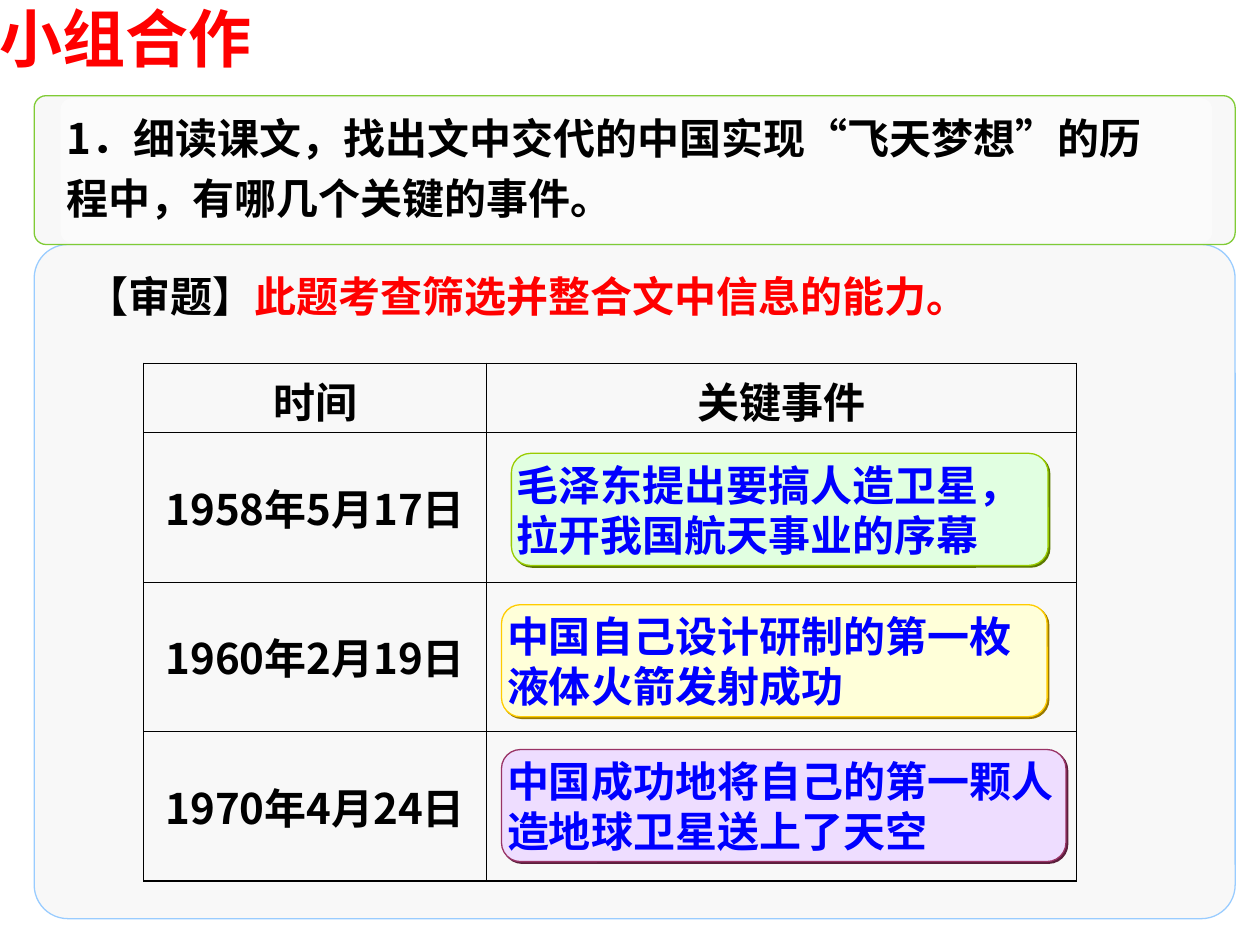
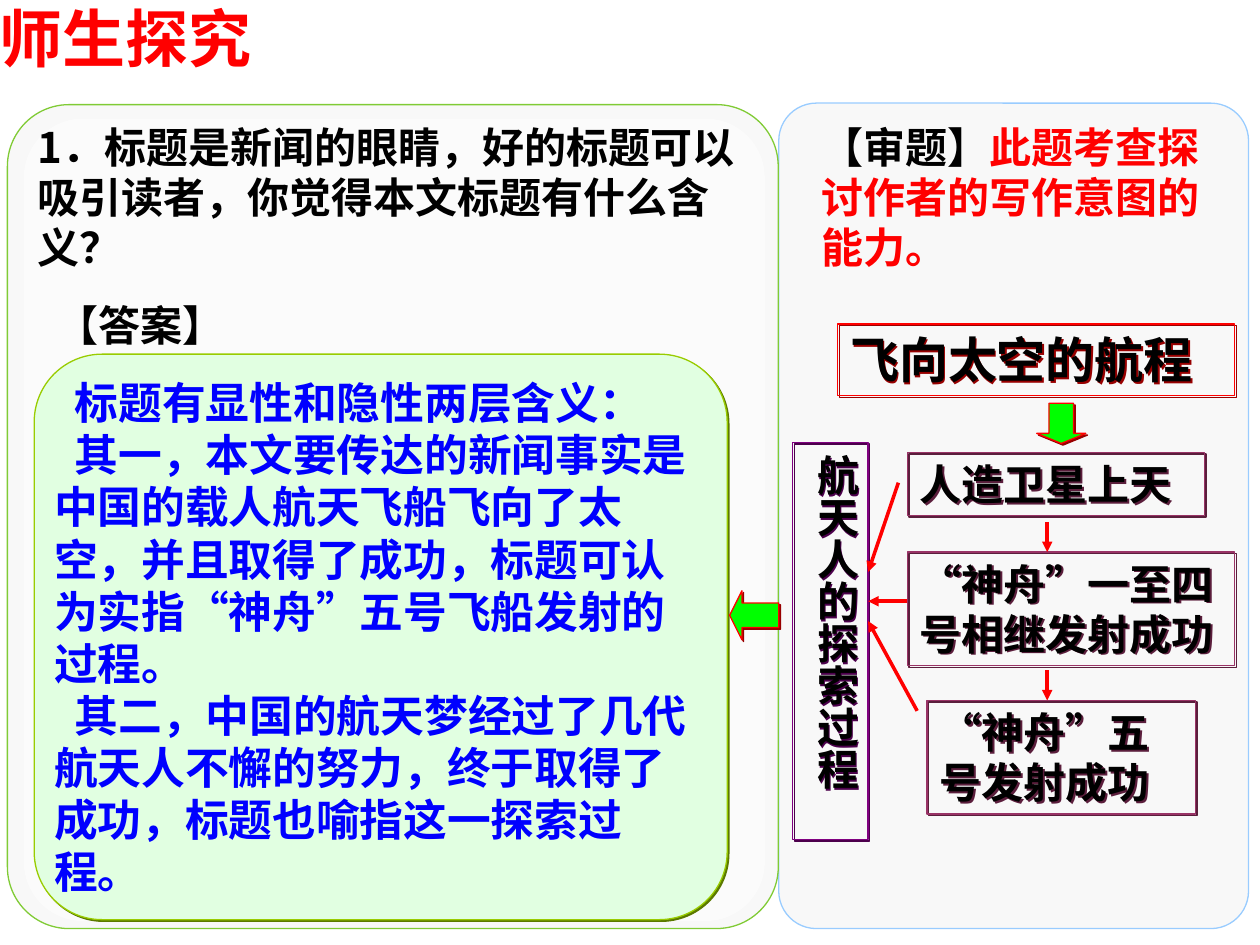
from dataclasses import dataclass
from typing import NamedTuple, Optional

import pptx
import pptx.dml.color
import pptx.enum.lang
import pptx.enum.shapes
import pptx.enum.text
import pptx.oxml
import pptx.oxml.ns
import pptx.util
from lxml import etree
from pptx.util import Cm, Pt

SHAPE = pptx.enum.shapes.MSO_SHAPE
ANCHOR = pptx.enum.text.MSO_ANCHOR
ALIGN = pptx.enum.text.PP_ALIGN
qn = pptx.oxml.ns.qn


@dataclass(frozen=True)
class Theme:
    latin: str = "Arial"
    cjk: str = "Noto Sans CJK SC"
    title: int = 36
    headline: int = 28
    answer: int = 25
    body: int = 24
    leading: float = 1.19
    hairline: float = 0.75
    arrow: float = 2
    black: str = "000000"
    red: str = "FF0000"
    dark_red: str = "980000"
    blue: str = "0000FF"
    green: str = "00FF00"
    white: str = "FFFFFF"
    grey: str = "808080"
    panel: str = "F8F8F8"
    panel_green: str = "80CB35"
    panel_blue: str = "99CCFF"


THEME = Theme()


class Box(NamedTuple):
    """Left, top, width and height in centimetres."""
    left: float
    top: float
    width: float
    height: float

    def lengths(self) -> list:
        return [Cm(value) for value in self]


class Look(NamedTuple):
    fill: Optional[str]
    line: Optional[str]
    shadow: Optional[str] = None


class Run(NamedTuple):
    text: str
    color: str = THEME.black


class Step(NamedTuple):
    box: Box
    text: str
    look: Look
    size: int = THEME.body


class Card(NamedTuple):
    box: Box
    text: str
    look: Look


class Arrow(NamedTuple):
    x1: float
    y1: float
    x2: float
    y2: float


GREEN_CARD = Look("E1FFE1", "99CC00", "5B7900")
YELLOW_CARD = Look("FFFFD9", "FFCC00", "987900")
PURPLE_CARD = Look("EEDDFF", "993366", "5B1E3C")
STEP_LOOK = Look(None, "993366", "5B1E3C")
PROCESS_LOOK = Look(None, "800080", "4C004C")
HEADLINE_LOOK = Look(None, THEME.red, THEME.dark_red)
ARROW_LOOK = Look(THEME.green, THEME.red, THEME.dark_red)
QUESTION_PANEL = Look(THEME.panel, THEME.panel_green)
REVIEW_PANEL = Look(THEME.panel, THEME.panel_blue)


def rgb(color: str) -> pptx.dml.color.RGBColor:
    return pptx.dml.color.RGBColor.from_string(color)


def shadow_effect(color: str):
    """A hard shadow, 1.4 pt down and to the right."""
    effects = etree.Element(qn("a:effectLst"))
    outer = etree.SubElement(effects, qn("a:outerShdw"), blurRad="0",
                             dist=str(Pt(1.4)), dir="2700000", algn="ctr", rotWithShape="0")
    etree.SubElement(outer, qn("a:srgbClr"), val=color)
    return effects


# ---- Text ----
def add_run(paragraph, run: Run, size: int, latin: str, shadow: bool = False) -> None:
    piece = paragraph.add_run()
    piece.text = run.text
    font = piece.font
    font.size, font.bold, font.name = Pt(size), True, latin
    font.language_id = pptx.enum.lang.MSO_LANGUAGE_ID.SIMPLIFIED_CHINESE
    font.color.rgb = rgb(run.color)
    latin_font = piece._r.rPr.find(qn("a:latin"))
    if shadow:
        latin_font.addprevious(shadow_effect(THEME.grey))
    east_asian = etree.Element(qn("a:ea"), typeface=THEME.cjk)
    latin_font.addnext(east_asian)


def write(shape, paragraphs: list[list[Run]], size: int = THEME.body, latin: str = THEME.latin,
          anchor=ANCHOR.TOP, margins: tuple = (0.25, 0.13), shadow: bool = False,
          spacing: float = 1, indent: float = 0, align=ALIGN.LEFT) -> None:
    frame = shape.text_frame
    frame.word_wrap = True
    frame.vertical_anchor = anchor
    frame.margin_left = frame.margin_right = Cm(margins[0])
    frame.margin_top = frame.margin_bottom = Cm(margins[1])
    for index, runs in enumerate(paragraphs):
        paragraph = frame.add_paragraph() if index else frame.paragraphs[0]
        paragraph.alignment = align
        paragraph.line_spacing = Pt(round(size * THEME.leading * spacing, 1))
        properties = paragraph._p.get_or_add_pPr()
        properties.set("hangingPunct", "0")
        if indent:
            properties.set("indent", str(Cm(indent)))
        for run in runs:
            add_run(paragraph, run, size, latin, shadow)


def add_text(slide, box: Box, runs: list[Run], **style) -> None:
    write(slide.shapes.add_textbox(*box.lengths()), [runs], shadow=True, **style)


def add_title(slide, text: str) -> None:
    add_text(slide, Box(0, 0, 8.51, 1.52), [Run(text, THEME.red)],
             size=THEME.title, margins=(0, 0))


# ---- Shapes ----
def add_figure(slide, kind, box: Box, look: Look, *adjustments: float):
    shape = slide.shapes.add_shape(kind, *box.lengths())
    for index, value in enumerate(adjustments):
        shape.adjustments[index] = value
    if look.fill:
        shape.fill.solid()
        shape.fill.fore_color.rgb = rgb(look.fill)
    else:
        shape.fill.background()
    if look.line:
        shape.line.color.rgb = rgb(look.line)
        shape.line.width = Pt(THEME.hairline)
    else:
        shape.line.fill.background()
    shape.shadow.inherit = False
    if look.shadow:
        plain = shape._element.spPr.find(qn("a:effectLst"))
        plain.getparent().replace(plain, shadow_effect(look.shadow))
    return shape


def add_question_panel(slide, outer: Box, sheen: Box) -> None:
    add_figure(slide, SHAPE.ROUNDED_RECTANGLE, outer, QUESTION_PANEL, 0.08)
    veil = add_figure(slide, SHAPE.ROUNDED_RECTANGLE, sheen, Look(THEME.white, None), 0.08)
    color = veil._element.spPr.find(qn("a:solidFill"))[0]
    etree.SubElement(color, qn("a:alpha"), val="50000")


def add_card(slide, card: Card) -> None:
    shape = add_figure(slide, SHAPE.ROUNDED_RECTANGLE, card.box, card.look, 0.17)
    write(shape, [[Run(card.text, THEME.blue)]], anchor=ANCHOR.MIDDLE, margins=(0, 0))


def add_step(slide, step: Step) -> None:
    shape = add_figure(slide, SHAPE.RECTANGLE, step.box, step.look)
    write(shape, [[Run(step.text)]], size=step.size)


def add_arrow(slide, arrow: Arrow) -> None:
    line = slide.shapes.add_connector(pptx.enum.shapes.MSO_CONNECTOR.STRAIGHT,
                                      *[Cm(value) for value in arrow])
    line.line.color.rgb = rgb(THEME.red)
    line.line.width = Pt(THEME.arrow)
    properties = line._element.spPr
    etree.SubElement(properties.find(qn("a:ln")), qn("a:tailEnd"), type="triangle")
    etree.SubElement(properties, qn("a:effectLst"))


# ---- Table ----
def add_borders(cell) -> None:
    properties = cell._tc.get_or_add_tcPr()
    for index, side in enumerate(("a:lnL", "a:lnR", "a:lnT", "a:lnB")):
        border = etree.Element(qn(side), w=str(Pt(THEME.hairline)))
        fill = etree.SubElement(border, qn("a:solidFill"))
        etree.SubElement(fill, qn("a:srgbClr"), val=THEME.black)
        properties.insert(index, border)


def add_timeline(slide, box: Box, widths: list, heights: list, rows: list) -> None:
    table = slide.shapes.add_table(len(rows), len(widths), *box.lengths()).table
    table.first_row = table.horz_banding = False
    for column, width in zip(table.columns, widths):
        column.width = Cm(width)
    for row, height, texts in zip(table.rows, heights, rows):
        row.height = Cm(height)
        for cell, text in zip(row.cells, texts):
            cell.fill.background()
            add_borders(cell)
            cell.vertical_anchor = ANCHOR.MIDDLE
            cell.margin_left = cell.margin_right = Cm(0.25)
            cell.margin_top = cell.margin_bottom = Cm(0.13)
            if text:
                paragraph = cell.text_frame.paragraphs[0]
                paragraph.alignment = ALIGN.CENTER
                add_run(paragraph, Run(text), THEME.body, THEME.cjk)


# ---- Slide 1: key events ----
def build_group_work(slide) -> None:
    add_figure(slide, SHAPE.ROUNDED_RECTANGLE, Box(0.69, 4.93, 24.21, 13.59), REVIEW_PANEL, 0.05)
    add_question_panel(slide, Box(0.69, 1.93, 24.21, 3), Box(1.22, 1.98, 23.22, 2.92))
    add_title(slide, "小组合作")
    add_timeline(slide, Box(2.9, 7.32, 18.8, 10.44), [6.91, 11.89], [1.4, 3.02, 3, 3.02],
                 [("时间", "关键事件"), ("1958年5月17日", ""),
                  ("1960年2月19日", ""), ("1970年4月24日", "")])
    add_text(slide, Box(1.09, 1.93, 23.01, 2.69),
             [Run("1．细读课文，找出文中交代的中国实现“飞天梦想”的历程中，有哪几个关键的事件。")],
             latin=THEME.cjk, anchor=ANCHOR.MIDDLE, spacing=1.2)
    add_text(slide, Box(1.5, 5.33, 22.61, 1.27),
             [Run("【审题】"), Run("此题考查筛选并整合文中信息的能力。", THEME.red)])
    for card in (
        Card(Box(10.31, 9.14, 10.82, 2.26), "毛泽东提出要搞人造卫星，拉开我国航天事业的序幕", GREEN_CARD),
        Card(Box(10.11, 12.19, 11, 2.26), "中国自己设计研制的第一枚液体火箭发射成功", YELLOW_CARD),
        Card(Box(10.11, 15.11, 11.38, 2.26), "中国成功地将自己的第一颗人造地球卫星送上了天空", PURPLE_CARD),
    ):
        add_card(slide, card)


# ---- Slide 2: meaning of the headline ----
def build_inquiry(slide) -> None:
    add_figure(slide, SHAPE.ROUNDED_RECTANGLE, Box(15.7, 2.08, 9.47, 16.64), REVIEW_PANEL, 0.08)
    add_question_panel(slide, Box(0.15, 2.11, 15.54, 16.61), Box(0.48, 2.39, 14.94, 16.18))
    add_title(slide, "师生探究")
    add_text(slide, Box(0.51, 2.31, 14.6, 3.3),
             [Run("1．标题是新闻的眼睛，好的标题可以吸引读者，你觉得本文标题有什么含义？")],
             latin=THEME.cjk, anchor=ANCHOR.MIDDLE)
    answer = add_figure(slide, SHAPE.ROUNDED_RECTANGLE, Box(0.69, 7.14, 13.97, 11.4),
                        GREEN_CARD, 0.12)
    meanings = (
        "标题有显性和隐性两层含义：",
        "其一，本文要传达的新闻事实是中国的载人航天飞船飞向了太空，并且取得了成功，"
        "标题可认为实指“神舟”五号飞船发射的过程。",
        "其二，中国的航天梦经过了几代航天人不懈的努力，终于取得了成功，标题也喻指这一探索过程。",
    )
    write(answer, [[Run(text, THEME.blue)] for text in meanings], size=THEME.answer,
          latin=THEME.cjk, anchor=ANCHOR.MIDDLE, margins=(0, 0), indent=0.42)
    add_text(slide, Box(16.31, 2.31, 8.41, 3.3),
             [Run("【审题】"), Run("此题考查探讨作者的写作意图的能力。", THEME.red)],
             latin=THEME.cjk, anchor=ANCHOR.MIDDLE)

    # Flow from the headline through the launches
    for step in (
        Step(Box(16.89, 6.53, 8, 1.45), "飞向太空的航程", HEADLINE_LOOK, THEME.headline),
        Step(Box(18.29, 9.12, 5.99, 1.27), "人造卫星上天", STEP_LOOK),
        Step(Box(18.29, 11.13, 6.6, 2.29), "“神舟”一至四号相继发射成功", STEP_LOOK),
        Step(Box(18.69, 14.12, 5.41, 2.29), "“神舟”五号发射成功", STEP_LOOK),
    ):
        add_step(slide, step)
    process = add_figure(slide, SHAPE.RECTANGLE, Box(15.98, 8.92, 1.52, 8), PROCESS_LOOK)
    write(process, [[Run("航天人的探索过程")]], margins=(0.13, 0.25), align=ALIGN.CENTER)
    process.text_frame._txBody.bodyPr.set("vert", "eaVert")
    for arrow in (
        Arrow(21.11, 10.52, 21.11, 11.13),
        Arrow(21.11, 13.51, 21.11, 14.12),
        Arrow(18.11, 9.73, 17.5, 11.53),
        Arrow(18.29, 12.12, 17.5, 12.12),
        Arrow(18.49, 14.33, 17.5, 12.52),
    ):
        add_arrow(slide, arrow)
    add_figure(slide, SHAPE.DOWN_ARROW, Box(20.9, 8.13, 0.99, 0.81), ARROW_LOOK, 0.5, 0.25)
    add_figure(slide, SHAPE.LEFT_ARROW, Box(14.71, 11.91, 0.99, 0.99), ARROW_LOOK, 0.5, 0.25)
    add_text(slide, Box(0.89, 5.92, 4.39, 1.27), [Run("【答案】")])


def main() -> None:
    deck = pptx.Presentation()
    deck.slide_width, deck.slide_height = Cm(25.4), Cm(19.05)
    for build in (build_group_work, build_inquiry):
        build(deck.slides.add_slide(deck.slide_layouts[6]))
    deck.save("out.pptx")


if __name__ == "__main__":
    main()
